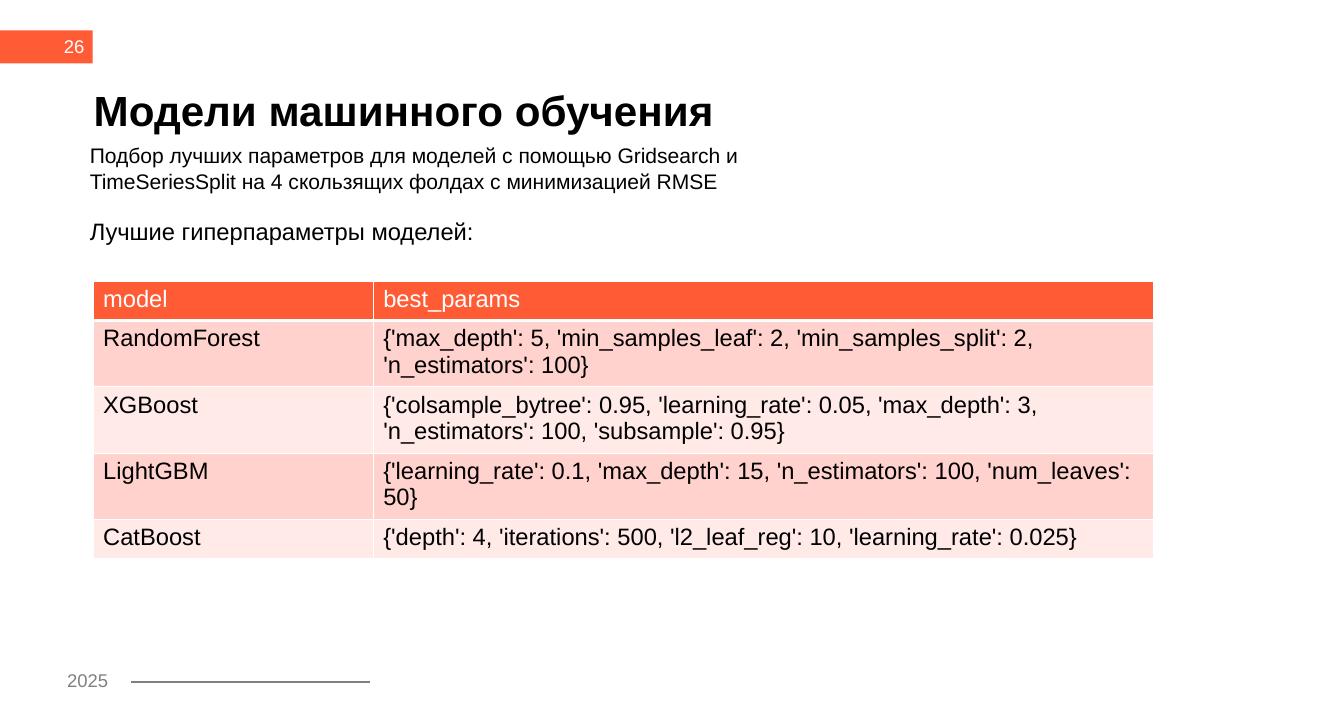
from lxml.etree import SubElement
from pptx import Presentation
from pptx.dml.color import RGBColor
from pptx.enum.shapes import MSO_CONNECTOR as Connector, MSO_SHAPE as Shape
from pptx.enum.text import MSO_ANCHOR as Anchor, PP_ALIGN as Align
from pptx.oxml import parse_xml
from pptx.oxml.ns import nsdecls, qn
from pptx.util import Inches, Pt

ORANGE = RGBColor(0xFF, 0x5C, 0x36)
ROSE = RGBColor(0xFF, 0xD2, 0xCE)
BLUSH = RGBColor(0xFF, 0xEA, 0xE8)
GRAY = RGBColor(0x80, 0x80, 0x80)
BLACK = RGBColor(0, 0, 0)
WHITE = RGBColor(0xFF, 0xFF, 0xFF)

HYPERPARAMETERS = [
    ("model", "best_params"),
    ("RandomForest", "{'max_depth': 5, 'min_samples_leaf': 2, "
     "'min_samples_split': 2, 'n_estimators': 100}"),
    ("XGBoost", "{'colsample_bytree': 0.95, 'learning_rate': 0.05, "
     "'max_depth': 3, 'n_estimators': 100, 'subsample': 0.95}"),
    ("LightGBM", "{'learning_rate': 0.1, 'max_depth': 15, "
     "'n_estimators': 100, 'num_leaves': 50}"),
    ("CatBoost", "{'depth': 4, 'iterations': 500, 'l2_leaf_reg': 10, "
     "'learning_rate': 0.025}"),
]


class SlideBuilder:
    """Draws styled elements on one slide, placed on a grid of 142 columns and 75 rows."""

    font_name = "Arial"
    columns, rows = 142, 75

    def __init__(self, deck):
        self.column = deck.slide_width / self.columns
        self.row = deck.slide_height / self.rows
        self.slide = deck.slides.add_slide(deck.slide_layouts[6])
        self.shapes = self.slide.shapes

    def across(self, count):
        return round(count * self.column)

    def down(self, count):
        return round(count * self.row)

    def place(self, left, top, width, height):
        return (self.across(left), self.down(top),
                self.across(width), self.down(height))

    def add_words(self, para, words, size, color=BLACK, bold=False, **layout):
        span = para.add_run()
        span.text = words
        span.font.color.rgb = color
        for name, value in {"name": self.font_name, "size": Pt(size), "bold": bold}.items():
            setattr(span.font, name, value)
        for name, value in layout.items():
            setattr(para, name, value)

    def rectangle(self, area, color):
        box = self.shapes.add_shape(Shape.RECTANGLE, *self.place(*area))
        box.shadow.inherit = False
        box.fill.solid()
        box.fill.fore_color.rgb = color
        box.line.fill.background()

    def rule(self, start, end, level, color, weight):
        line = self.shapes.add_connector(
            Connector.STRAIGHT, self.across(start), self.down(level),
            self.across(end), self.down(level))
        line.line.color.rgb = color
        line.line.width = Pt(weight)
        SubElement(line._element.spPr, qn("a:effectLst"))

    def text(self, area, paragraphs, **frame_format):
        frame = self.shapes.add_textbox(*self.place(*area)).text_frame
        for name, value in {"word_wrap": True, **frame_format}.items():
            setattr(frame, name, value)
        for index, style in enumerate(paragraphs):
            para = frame.add_paragraph() if index else frame.paragraphs[0]
            self.add_words(para, **style)

    def border(self, cell, weights):
        properties = cell._tc.get_or_add_tcPr()
        for position, (side, weight) in enumerate(weights.items()):
            properties.insert(position, parse_xml(
                f'<a:ln{side} {nsdecls("a")} w="{Pt(weight)}"><a:solidFill>'
                f'<a:srgbClr val="{WHITE}"/></a:solidFill></a:ln{side}>'))

    def table(self, left, top, widths, heights, records, size):
        area = self.place(left, top, sum(widths), sum(heights))
        grid = self.shapes.add_table(len(records), len(widths), *area).table
        grid.horz_banding = False
        for column, width in zip(grid.columns, widths):
            column.width = self.across(width)
        for index, (row, height, record) in enumerate(zip(grid.rows, heights, records)):
            row.height = self.down(height)
            fill = (BLUSH, ROSE)[index % 2] if index else ORANGE
            edges = {"L": 1, "R": 1, "T": 3 if index == 1 else 1, "B": 1 if index else 3}
            for cell, words in zip(row.cells, record):
                cell.fill.solid()
                cell.fill.fore_color.rgb = fill
                self.border(cell, edges)
                self.add_words(cell.text_frame.paragraphs[0], words, size,
                               BLACK if index else WHITE)


def main():
    deck = Presentation()
    deck.slide_width, deck.slide_height = Inches(14.17), Inches(7.48)
    page = SlideBuilder(deck)

    page.rectangle((0, 3.2, 9.8, 3.5), ORANGE)
    page.text((1.8, 2.9, 8.1, 4),
              [{"words": "26", "size": 14, "color": WHITE, "alignment": Align.RIGHT}],
              vertical_anchor=Anchor.MIDDLE)
    page.text((6.1, 70.3, 6.7, 3.4), [{"words": "2025", "size": 14, "color": GRAY}])
    page.rule(13.8, 39.1, 72.1, GRAY, 1.5)

    page.text((9.9, 9.5, 104.9, 7.8),
              [{"words": "Модели машинного обучения", "size": 32, "bold": True,
                "line_spacing": 0.9}],
              margin_left=0, margin_top=0, margin_right=0, margin_bottom=0)
    page.text((8.5, 14.6, 81.2, 15.1), [
        {"words": "Подбор лучших параметров для моделей с помощью Gridsearch и "
                  "TimeSeriesSplit на 4 скользящих фолдах с минимизацией RMSE",
         "size": 16},
        {"words": "Лучшие гиперпараметры моделей:", "size": 18, "space_before": Pt(18)},
    ])
    page.table(9.9, 29.8, (29.6, 82.4), (4.1, 7, 7, 7, 4.1), HYPERPARAMETERS, 18)

    deck.save("out.pptx")


if __name__ == "__main__":
    main()
